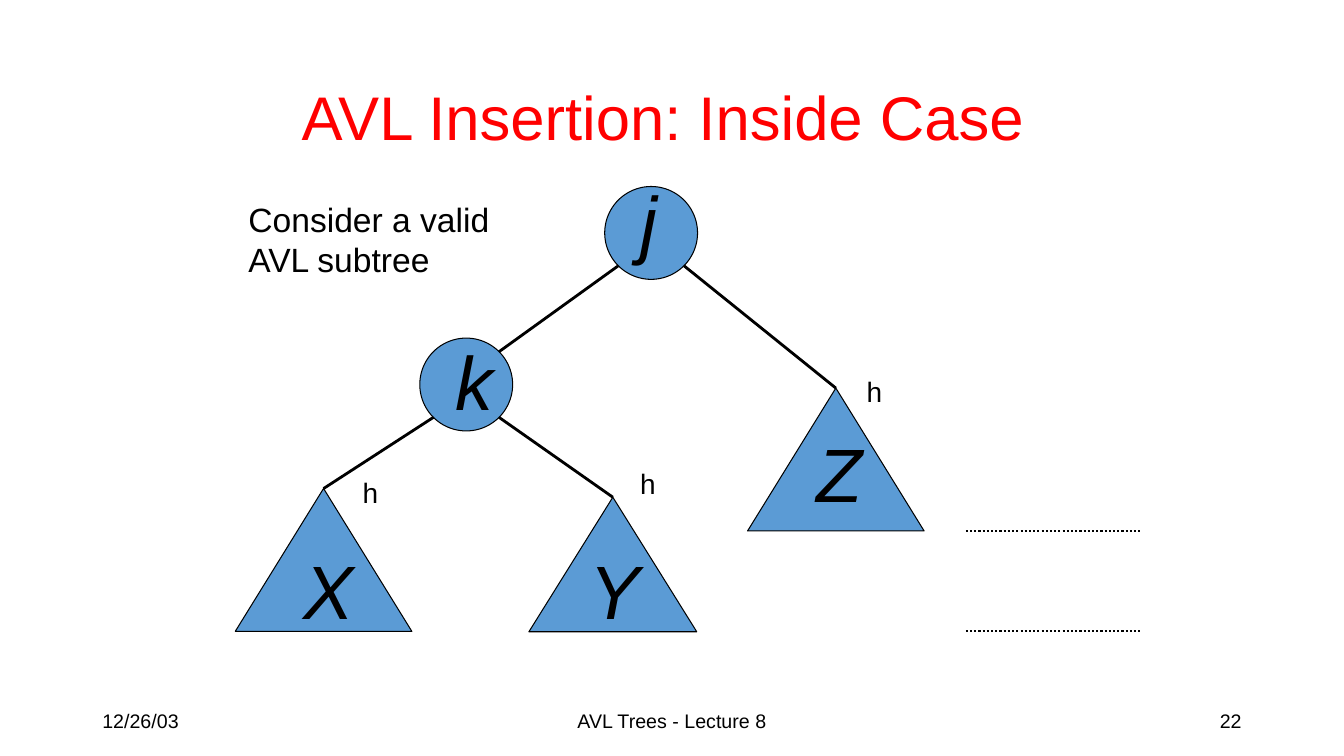
from dataclasses import dataclass
from math import sqrt

from lxml import etree
from pptx import Presentation
from pptx.dml.color import RGBColor
from pptx.enum.dml import MSO_LINE
from pptx.enum.shapes import MSO_CONNECTOR, MSO_SHAPE
from pptx.enum.text import MSO_ANCHOR, PP_ALIGN
from pptx.oxml.ns import qn
from pptx.shapes.autoshape import Shape
from pptx.shapes.connector import Connector
from pptx.slide import Slide
from pptx.text.text import TextFrame
from pptx.util import Cm, Pt

BLACK = RGBColor(0x00, 0x00, 0x00)
RED = RGBColor(0xFF, 0x00, 0x00)
BLUE = RGBColor(0x5B, 0x9B, 0xD5)
FONT = "Arial"
STRAIGHT = MSO_CONNECTOR.STRAIGHT
ELLIPSE, TRIANGLE = MSO_SHAPE.OVAL, MSO_SHAPE.ISOSCELES_TRIANGLE
DOTTED = MSO_LINE.ROUND_DOT
LEFT, CENTER, RIGHT = PP_ALIGN.LEFT, PP_ALIGN.CENTER, PP_ALIGN.RIGHT
TOP, MIDDLE, BOTTOM = MSO_ANCHOR.TOP, MSO_ANCHOR.MIDDLE, MSO_ANCHOR.BOTTOM
APEX = 0


@dataclass(frozen=True)
class Box:
    left: float
    top: float
    width: float
    height: float

    @property
    def bottom(self) -> float:
        return self.top + self.height

    def lengths(self) -> tuple[Cm, Cm, Cm, Cm]:
        return Cm(self.left), Cm(self.top), Cm(self.width), Cm(self.height)

    def rim(self, across: int, down: int) -> tuple[float, float]:
        """Diagonal point on the inscribed circle; each direction is -1 or 1."""
        radius = self.width / 2
        reach = radius / sqrt(2)
        return (self.left + radius + across * reach,
                self.top + radius + down * reach)


@dataclass(frozen=True)
class TreePart:
    label: str
    box: Box
    label_left: float
    label_top: float


@dataclass(frozen=True)
class Footer:
    text: str
    box: Box
    align: PP_ALIGN


NODE_SIZE = 2.34
J = TreePart("j", Box(15.24, 4.7, NODE_SIZE, NODE_SIZE), 15.88, 4.27)
K = TreePart("k", Box(10.58, 8.52, NODE_SIZE, NODE_SIZE), 11.22, 8.31)
X = TreePart("X", Box(5.93, 12.31, 4.45, 3.6), 7.41, 13.59)
Y = TreePart("Y", Box(13.33, 12.53, 4.23, 3.39), 14.6, 13.59)
Z = TreePart("Z", Box(18.84, 9.78, 4.45, 3.6), 20.32, 10.62)
HEIGHT_MARKS = [(21.59, 9.31), (15.88, 11.64), (8.89, 11.85)]
GUIDE_START, GUIDE_END = 24.34, 28.79

FOOTERS = [
    Footer("12/26/03", Box(2.33, 17.65, 7.62, 1.02), LEFT),
    Footer("AVL Trees - Lecture 8", Box(11.22, 17.65, 11.43, 1.02), CENTER),
    Footer("22", Box(23.92, 17.65, 7.62, 1.02), RIGHT),
]


def write(frame: TextFrame, text: str, *, size: float, color: RGBColor = BLACK,
          italic: bool = False, align: PP_ALIGN = LEFT,
          anchor: MSO_ANCHOR = TOP, wrap: bool = True) -> None:
    frame.text = text
    frame.word_wrap = wrap
    frame.vertical_anchor = anchor
    for paragraph in frame.paragraphs:
        paragraph.alignment = align
        for run in paragraph.runs:
            run.font.name = FONT
            run.font.size = Pt(size)
            run.font.italic = italic
            run.font.color.rgb = color


def text_frame(slide: Slide, box: Box) -> TextFrame:
    return slide.shapes.add_textbox(*box.lengths()).text_frame


def draw_part(slide: Slide, part: TreePart, kind: MSO_SHAPE) -> Shape:
    outline = slide.shapes.add_shape(kind, *part.box.lengths())
    outline.shadow.inherit = False
    outline.fill.solid()
    outline.fill.fore_color.rgb = BLUE
    outline.line.color.rgb = BLACK
    outline.line.width = Pt(0.75)
    label_box = Box(part.label_left, part.label_top, 1.42, 2.54)
    write(text_frame(slide, label_box), part.label, size=54, italic=True,
          anchor=BOTTOM)
    return outline


def draw_line(slide: Slide, start: tuple[float, float],
              end: tuple[float, float], width: float) -> Connector:
    line = slide.shapes.add_connector(
        STRAIGHT, Cm(start[0]), Cm(start[1]), Cm(end[0]), Cm(end[1]))
    line.line.color.rgb = BLACK
    line.line.width = Pt(width)
    etree.SubElement(line._element.spPr, qn("a:effectLst"))
    return line


def draw_tree(slide: Slide) -> None:
    for node in (J, K):
        draw_part(slide, node, ELLIPSE)
    draw_line(slide, J.box.rim(-1, 1), K.box.rim(1, -1), 2)
    for parent, side, subtree in ((K, -1, X), (K, 1, Y), (J, 1, Z)):
        triangle = draw_part(slide, subtree, TRIANGLE)
        start = parent.box.rim(side, 1)
        branch = draw_line(slide, start, start, 2)
        branch.end_connect(triangle, APEX)
    for left, top in HEIGHT_MARKS:
        write(text_frame(slide, Box(left, top, 0.91, 1.08)), "h", size=20,
              wrap=False)


def draw_level_guides(slide: Slide) -> None:
    for subtree in (Z, X):
        level = subtree.box.bottom
        guide = draw_line(slide, (GUIDE_START, level), (GUIDE_END, level), 1.5)
        guide.line.dash_style = DOTTED


def main() -> None:
    deck = Presentation()
    deck.slide_width, deck.slide_height = Cm(33.87), Cm(19.05)
    slide = deck.slides.add_slide(deck.slide_layouts.get_by_name("Title Only"))

    title = slide.shapes.title
    title.left, title.top, title.width, title.height = Box(
        6.07, 1.8, 21.72, 2.24).lengths()
    write(title.text_frame, "AVL Insertion: Inside Case ", size=44, color=RED,
          align=CENTER, anchor=MIDDLE)

    for footer in FOOTERS:
        write(text_frame(slide, footer.box), footer.text, size=14,
              align=footer.align, anchor=MIDDLE)
    draw_tree(slide)
    draw_level_guides(slide)
    write(text_frame(slide, Box(6.01, 4.88, 6.65, 2.31)),
          "Consider a valid\nAVL subtree", size=24, wrap=False)
    deck.save("out.pptx")


if __name__ == "__main__":
    main()
